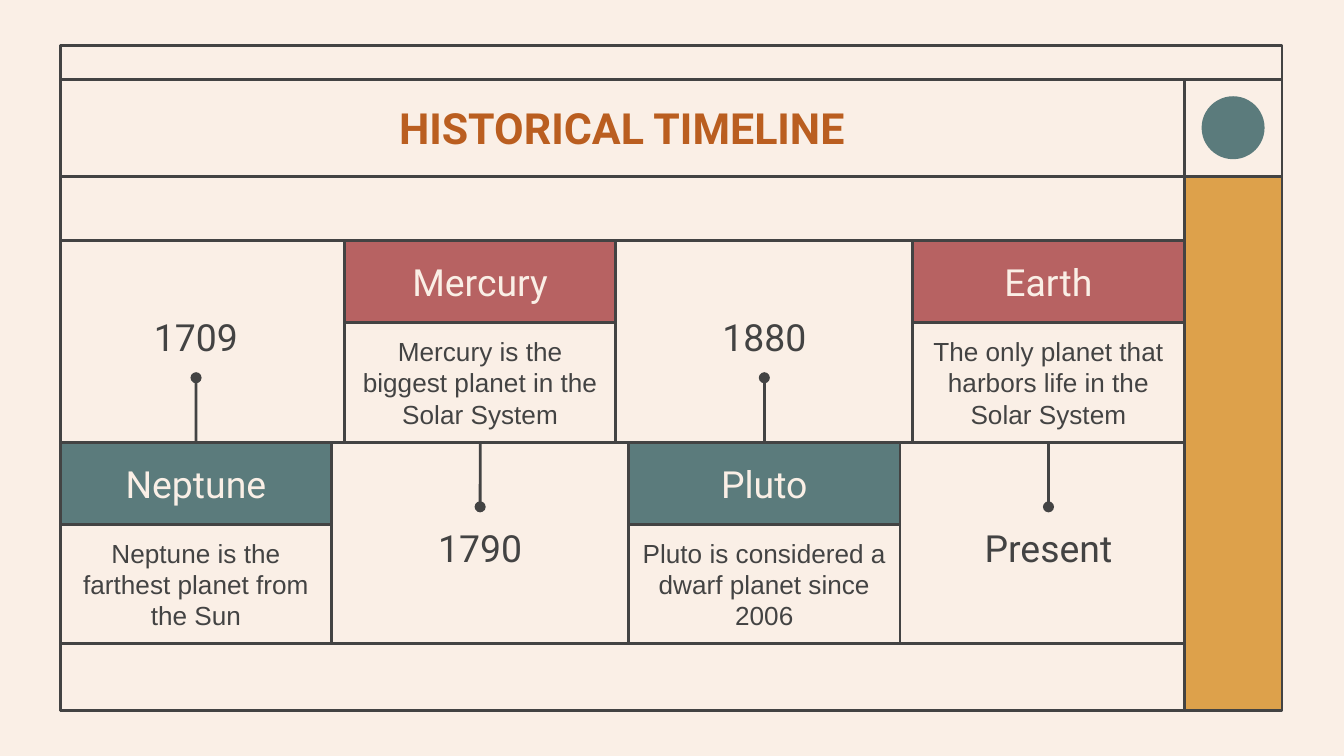
from lxml.etree import SubElement
from pptx import Presentation
from pptx.dml.color import RGBColor
from pptx.enum.shapes import MSO_CONNECTOR as CONNECTOR, MSO_SHAPE as SHAPE
from pptx.enum.text import MSO_ANCHOR as ANCHOR, PP_ALIGN as ALIGN
from pptx.oxml.ns import qn
from pptx.util import Cm, Pt

COLORS = {
    "cream": "FAEFE6", "ink": "434343", "teal": "5B7B7C",
    "rose": "B76262", "amber": "DDA14B", "rust": "BA5E20",
}
STYLES = {
    "title": ("rust", {"name": "Roboto", "size": Pt(23), "bold": True}),
    "heading": ("cream", {"name": "Roboto", "size": Pt(20)}),
    "date": ("ink", {"name": "Roboto", "size": Pt(20)}),
    "body": ("ink", {"name": "Arial", "size": Pt(14)}),
}
FRAME_FORMAT = {
    "word_wrap": True, "vertical_anchor": ANCHOR.MIDDLE,
    "margin_left": Cm(0.25), "margin_right": Cm(0.25),
    "margin_top": Cm(0.25), "margin_bottom": Cm(0.25),
}
# planet, description, date, whether the card hangs below the axis
EVENTS = [
    ("Neptune", "Neptune is the farthest planet from the Sun", "1709", True),
    ("Mercury", "Mercury is the biggest planet in the Solar System", "1790", False),
    ("Pluto", "Pluto is considered a dwarf planet since 2006", "1880", True),
    ("Earth", "The only planet that harbors life in the Solar System", "Present", False),
]


def color(name):
    return RGBColor.from_string(COLORS[name])


def set_text(shape, text, style):
    frame = shape.text_frame
    for key, value in FRAME_FORMAT.items():
        setattr(frame, key, value)
    paragraph = frame.paragraphs[0]
    paragraph.alignment = ALIGN.CENTER
    run = paragraph.add_run()
    run.text = text
    ink, font_format = STYLES[style]
    for key, value in font_format.items():
        setattr(run.font, key, value)
    run.font.color.rgb = color(ink)


def add_block(slide, box, fill=None, outlined=True, kind=SHAPE.RECTANGLE):
    block = slide.shapes.add_shape(kind, *map(Cm, box))
    block.shadow.inherit = False
    if fill:
        block.fill.solid()
        block.fill.fore_color.rgb = color(fill)
    else:
        block.fill.background()
    if outlined:
        block.line.color.rgb = color("ink")
        block.line.width = Pt(1.5)
    else:
        block.line.fill.background()
    return block


def add_rule(slide, x1, y1, x2, y2, dot=False):
    """Straight ink line, with a round dot at its far end if asked."""
    rule = slide.shapes.add_connector(CONNECTOR.STRAIGHT, *map(Cm, (x1, y1, x2, y2)))
    rule.line.color.rgb = color("ink")
    rule.line.width = Pt(1.5)
    if dot:
        SubElement(rule.line._get_or_add_ln(), qn("a:tailEnd"), type="oval")
    SubElement(rule._element.spPr, qn("a:effectLst"))
    return rule


def add_sidebar(slide, box, header_height):
    left, top, width, height = box
    split = top + header_height
    add_block(slide, (left, split, width, height - header_height), "amber", False)
    add_rule(slide, left, top, left, top + height)
    diameter = 1.19
    circle_box = (left + (width - diameter) / 2, top + (header_height - diameter) / 2,
                  diameter, diameter)
    add_block(slide, circle_box, "teal", False, SHAPE.OVAL)


def add_title(slide, box, text):
    left, top, width, height = box
    inset_x, inset_y = 0.16, 0.24
    title = add_block(slide, (left + inset_x, top + inset_y,
                              width - 2 * inset_x, height - 2 * inset_y), "cream", False)
    set_text(title, text, "title")


def add_event(slide, box, event):
    """Card on one side of the axis, with its stem and date on the other."""
    left, top, width, height = box
    planet, description, date, below = event
    axis = top + height / 2
    heading_height, stem = 1.55, 1.22
    card_top = axis if below else top
    heading = add_block(slide, (left, card_top, width, heading_height),
                        "teal" if below else "rose")
    set_text(heading, planet, "heading")
    body = add_block(slide, (left, card_top + heading_height, width,
                             height / 2 - heading_height))
    set_text(body, description, "body")

    middle = left + width / 2
    tip = axis - stem if below else axis + stem
    line = add_rule(slide, middle, axis, middle, tip, dot=True)
    if below:
        line.begin_connect(heading, 0)
    else:
        line.begin_connect(body, 2)
    date_top = tip - heading_height if below else tip
    label = slide.shapes.add_textbox(*map(Cm, (left, date_top, width, heading_height)))
    set_text(label, date, "date")


def add_timeline(slide, box, events):
    left, top, width, height = box
    axis = top + height / 2
    add_rule(slide, left, axis, left + width, axis)
    card_width = 5.13
    step = (width - card_width) / (len(events) - 1)
    for i, event in enumerate(events):
        add_event(slide, (left + i * step, top, card_width, height), event)


def build_slide(slide, box):
    left, top, width, height = box
    right, bottom = left + width, top + height
    header_top, header_height = top + 0.64, 1.83
    band_top = header_top + header_height
    timeline_top, timeline_height = 4.55, 7.62
    timeline_bottom = timeline_top + timeline_height
    main_width = 21.24
    sidebar_left = left + main_width

    add_sidebar(slide, (sidebar_left, header_top, right - sidebar_left,
                        bottom - header_top), header_height)
    add_block(slide, box)
    add_title(slide, (left, header_top, main_width, header_height), "HISTORICAL TIMELINE")
    add_timeline(slide, (left, timeline_top, main_width, timeline_height), EVENTS)
    for y1, y2 in ((timeline_bottom, bottom), (band_top, timeline_top)):
        add_block(slide, (left, y1, main_width, y2 - y1), "cream")
    for y in (header_top, band_top):
        add_rule(slide, left, y, right, y)


def main():
    deck = Presentation()
    deck.slide_width, deck.slide_height = Cm(25.4), Cm(14.29)
    slide = deck.slides.add_slide(deck.slide_layouts[6])
    slide.background.fill.solid()
    slide.background.fill.fore_color.rgb = color("cream")
    build_slide(slide, (1.14, 0.86, 23.09, 12.57))
    deck.save("out.pptx")


if __name__ == "__main__":
    main()
